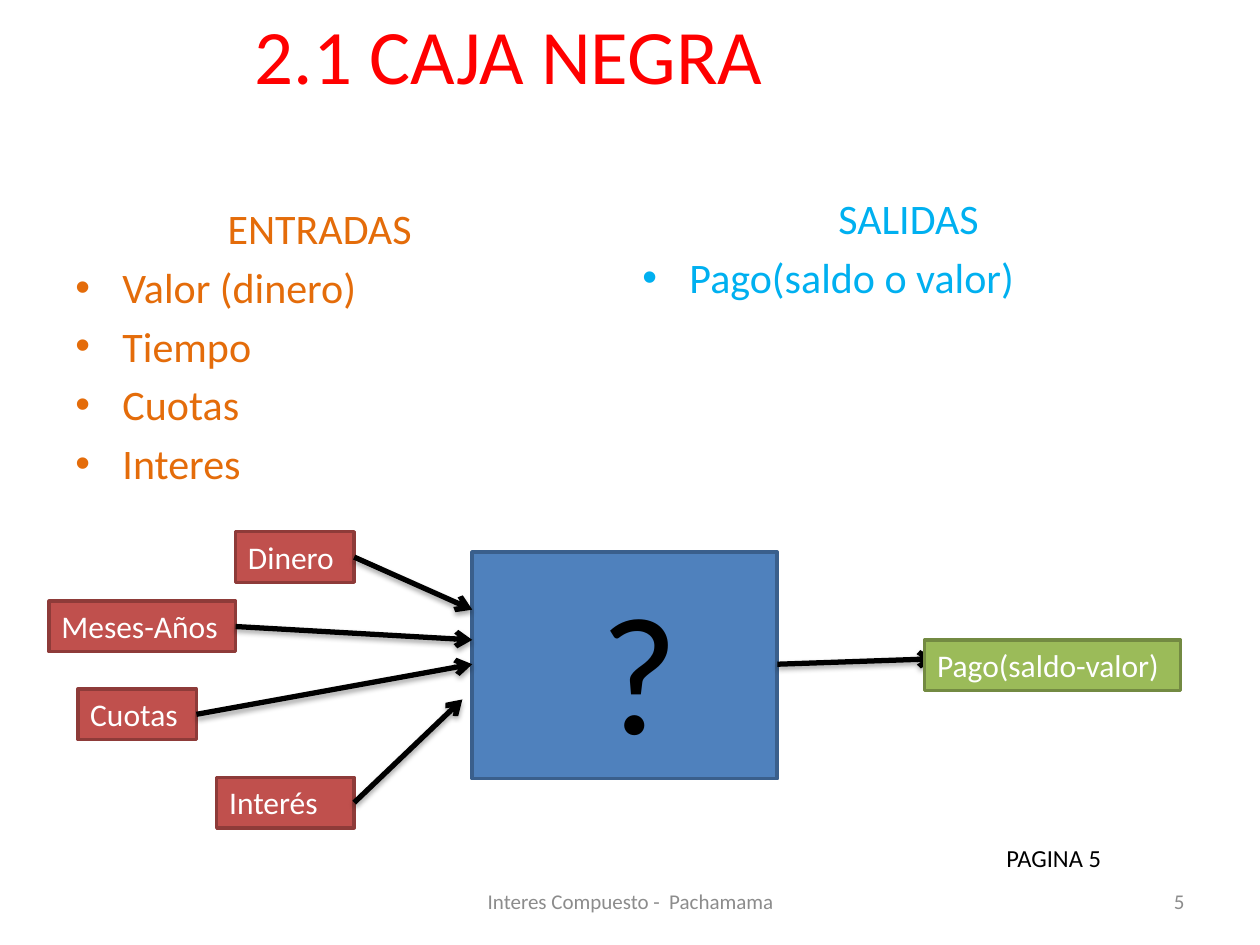
import pptx
import pptx.util
import pptx.dml.color
import pptx.enum.shapes
import pptx.enum.text
import pptx.oxml
import pptx.oxml.ns

Cm, Pt = pptx.util.Cm, pptx.util.Pt
RGBColor = pptx.dml.color.RGBColor
ALIGN = pptx.enum.text.PP_ALIGN
ANCHOR = pptx.enum.text.MSO_ANCHOR

FONT = "Calibri"
RED = RGBColor(0xFF, 0x00, 0x00)
ORANGE = RGBColor(0xE4, 0x6C, 0x0A)
SKY = RGBColor(0x00, 0xB0, 0xF0)
BLUE, BLUE_EDGE = RGBColor(0x4F, 0x81, 0xBD), RGBColor(0x3A, 0x5F, 0x8C)
BRICK, BRICK_EDGE = RGBColor(0xC0, 0x50, 0x4D), RGBColor(0x8E, 0x3B, 0x39)
GREEN, GREEN_EDGE = RGBColor(0x9B, 0xBB, 0x59), RGBColor(0x73, 0x8A, 0x42)
BLACK = RGBColor(0x00, 0x00, 0x00)
WHITE = RGBColor(0xFF, 0xFF, 0xFF)
GRAY = RGBColor(0x8C, 0x8C, 0x8C)

# Content, lengths in cm
TITLE = "2.1 CAJA NEGRA"
# heading, heading alignment, heading indent, items, colour, box
LISTS = [
    ("ENTRADAS", ALIGN.LEFT, 3.07, ["Valor (dinero)", "Tiempo", "Cuotas", "Interes"],
     ORANGE, (1.27, 3.96, 11.23, 5.94)),
    ("SALIDAS", ALIGN.CENTER, 0, ["Pago(saldo o valor)"],
     SKY, (12.7, 3.76, 11.23, 5.56)),
]
LABEL_H = 1.02
# label, left, top, width, arrow end
INPUTS = [
    ("Dinero", 4.75, 10.72, 2.39, (9.52, 12.29)),
    ("Meses-Años", 0.99, 12.12, 3.76, (9.52, 12.9)),
    ("Cuotas", 1.57, 13.89, 2.39, (9.52, 13.39)),
    ("Interés", 4.37, 15.67, 2.77, (9.32, 14.1)),
]
BLACK_BOX = (9.52, 11.13, 6.15, 4.57)
OUTPUT = ("Pago(saldo-valor)", 18.64, 12.9, 5.16)
OUTPUT_ARROW = ((15.67, 13.39), (18.85, 13.28))
# text, box, size, colour, alignment, anchor
TEXTS = [
    ("?", (10.31, 11.3, 5.16, 4.37), 96, BLACK, ALIGN.CENTER, ANCHOR.TOP),
    ("PAGINA 5", (20.04, 16.87, 3.38, 0.86), 14, BLACK, ALIGN.LEFT, ANCHOR.TOP),
    ("Interes Compuesto -  Pachamama", (8.69, 17.65, 8.05, 1.02), 12, GRAY,
     ALIGN.CENTER, ANCHOR.MIDDLE),
    ("5", (18.21, 17.65, 5.92, 1.02), 12, GRAY, ALIGN.RIGHT, ANCHOR.MIDDLE),
]
HANGING = 0.95


def cm(values):
    return [Cm(v) for v in values]


def add_run(p, text, size, color, align=ALIGN.LEFT):
    p.alignment = align
    r = p.add_run()
    r.text = text
    r.font.name, r.font.size = FONT, Pt(size)
    r.font.color.rgb = color


def add_text(text, box, size, color, align, anchor):
    tf = s.shapes.add_textbox(*cm(box)).text_frame
    tf.word_wrap = True
    tf.vertical_anchor = anchor
    add_run(tf.paragraphs[0], text, size, color, align)


def add_rect(box, fill, edge, text=None):
    sp = s.shapes.add_shape(pptx.enum.shapes.MSO_SHAPE.RECTANGLE, *cm(box))
    sp.shadow.inherit = False
    sp.fill.solid()
    sp.fill.fore_color.rgb = fill
    sp.line.color.rgb = edge
    sp.line.width = Pt(2)
    if text:
        sp.text_frame.word_wrap = True
        sp.text_frame.vertical_anchor = ANCHOR.TOP
        add_run(sp.text_frame.paragraphs[0], text, 18, WHITE)


def add_arrow(start, end):
    line = s.shapes.add_connector(pptx.enum.shapes.MSO_CONNECTOR.STRAIGHT,
                                  *cm(start + end))
    line.line.color.rgb = BLACK
    line.line.width = Pt(3)
    ns = pptx.oxml.ns.nsdecls("a")
    line.line._get_or_add_ln().append(
        pptx.oxml.parse_xml(f'<a:tailEnd {ns} type="arrow"/>'))
    line._element.spPr.append(pptx.oxml.parse_xml(
        f'<a:effectLst {ns}><a:outerShdw blurRad="{Pt(3.1)}" dist="{Pt(1.8)}" '
        'dir="5400000" rotWithShape="0"><a:srgbClr val="000000">'
        '<a:alpha val="35000"/></a:srgbClr></a:outerShdw></a:effectLst>'))


def add_list(heading, align, indent, items, color, box):
    tf = s.shapes.add_textbox(*cm(box)).text_frame
    tf.word_wrap = True
    p = tf.paragraphs[0]
    p._p.get_or_add_pPr().set("marL", str(Cm(indent)))
    add_run(p, heading, 24, color, align)
    for item in items:
        p = tf.add_paragraph()
        p.space_before = Pt(4.8)
        pPr = p._p.get_or_add_pPr()
        pPr.set("marL", str(Cm(HANGING)))
        pPr.set("indent", str(-Cm(HANGING)))
        ns = pptx.oxml.ns.nsdecls("a")
        pPr.append(pptx.oxml.parse_xml(f'<a:buFont {ns} typeface="Arial"/>'))
        pPr.append(pptx.oxml.parse_xml(f'<a:buChar {ns} char="•"/>'))
        add_run(p, item, 24, color)


prs = pptx.Presentation()
prs.slide_width, prs.slide_height = Cm(25.4), Cm(19.05)
s = prs.slides.add_slide(prs.slide_layouts[5])

# Title, centred left of the middle by its right inset
title = s.shapes.title
title.left, title.top, title.width, title.height = cm((1.27, 0.58, 22.56, 2.18))
tf = title.text_frame
tf.auto_size = pptx.enum.text.MSO_AUTO_SIZE.NONE
tf.vertical_anchor = ANCHOR.BOTTOM
tf.margin_right, tf.margin_bottom = Cm(4.83), Cm(0.74)
add_run(tf.paragraphs[0], TITLE, 44, RED, ALIGN.CENTER)

# Inputs and outputs as lists
for row in LISTS:
    add_list(*row)

# Diagram: arrows leave each label at the middle of its right side
add_rect(BLACK_BOX, BLUE, BLUE_EDGE)
for label, left, top, width, end in INPUTS:
    add_rect((left, top, width, LABEL_H), BRICK, BRICK_EDGE, label)
    add_arrow((left + width, top + LABEL_H / 2), end)
add_arrow(*OUTPUT_ARROW)
label, left, top, width = OUTPUT
add_rect((left, top, width, LABEL_H), GREEN, GREEN_EDGE, label)

# Question mark, page mark and footer
for row in TEXTS:
    add_text(*row)

prs.save("out.pptx")
